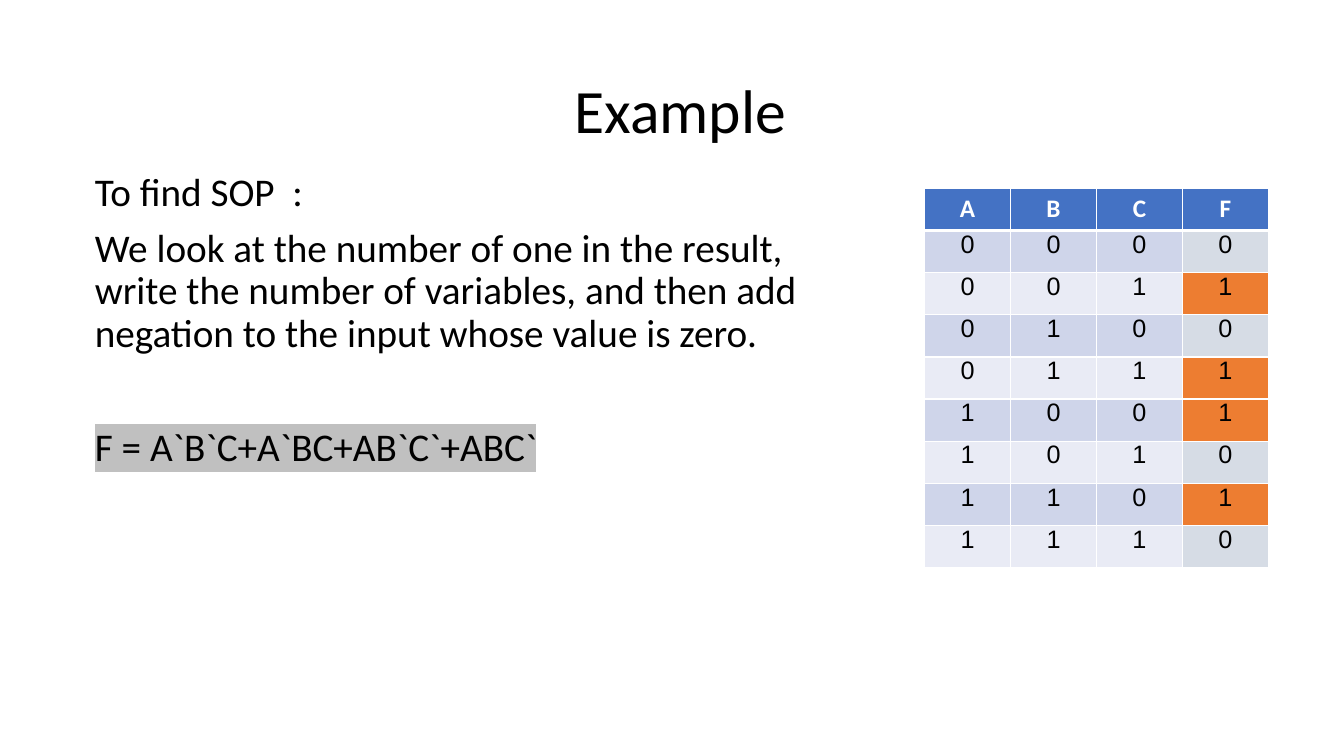
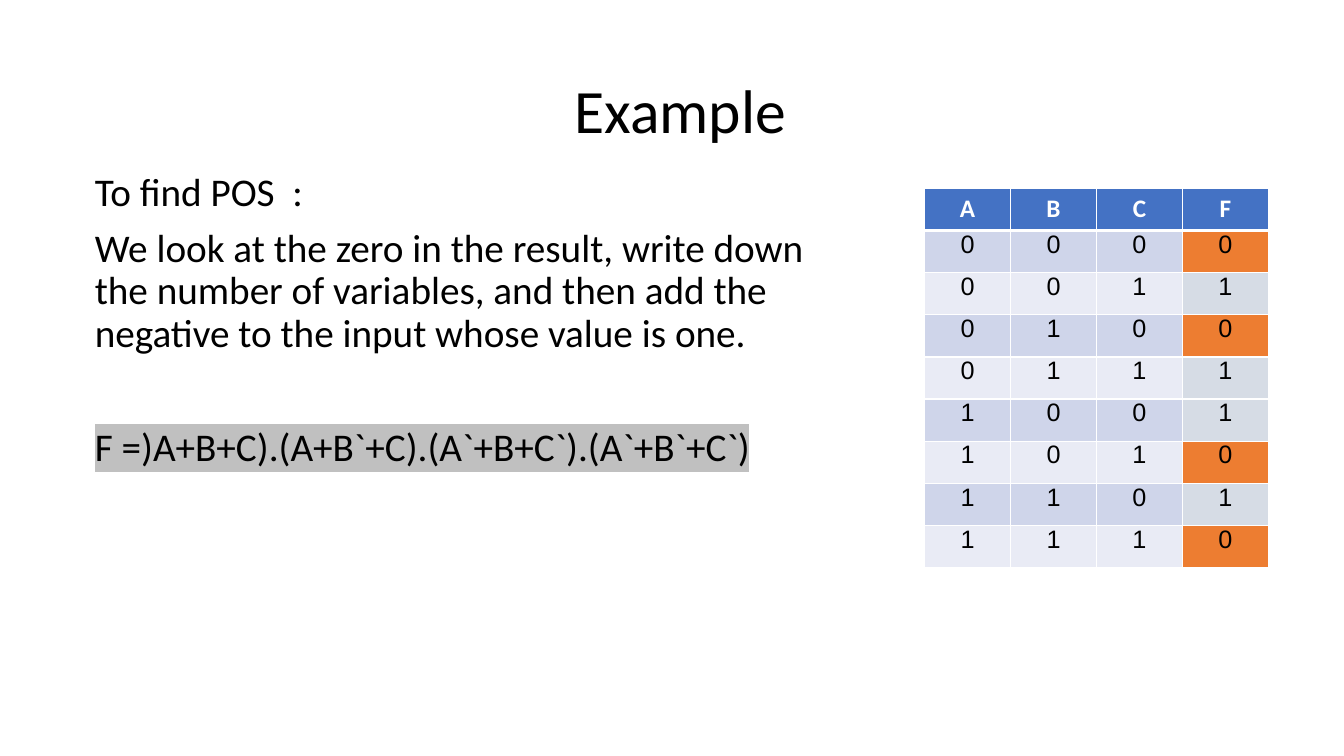
"""Build two slides that read SOP and POS forms from a truth table."""
from dataclasses import dataclass
from itertools import product

from lxml import etree
from pptx import Presentation
from pptx.dml.color import RGBColor
from pptx.enum.text import MSO_ANCHOR, MSO_AUTO_SIZE, PP_ALIGN
from pptx.oxml.ns import qn
from pptx.util import Inches, Pt

CENTER, LEFT = PP_ALIGN.CENTER, PP_ALIGN.LEFT
TOP, MIDDLE = MSO_ANCHOR.TOP, MSO_ANCHOR.MIDDLE
NO_AUTOFIT = MSO_AUTO_SIZE.NONE

FONT = "Calibri"
DIGIT_FONT = "Arial"
BLACK, WHITE = "000000", "FFFFFF"
HEADER = "4472C4"
BANDS = ("CFD5EA", "E9EBF5")
RESULT, MARKED = "D6DCE5", "ED7D31"
HIGHLIGHT = "C0C0C0"

HEADINGS = ("A", "B", "C", "F")
TRUTH_ROWS = [(a, b, c, a ^ c) for a, b, c in product((0, 1), repeat=3)]


@dataclass(frozen=True)
class Example:
    heading: str
    rule: str
    formula: str
    marked: int


EXAMPLES = (
    Example(
        "To find SOP  :",
        "We look at the number of one in the result, write the number of "
        "variables, and then add negation to the input whose value is zero.",
        "F = A`B`C+A`BC+AB`C`+ABC`",
        1,
    ),
    Example(
        "To find POS  :",
        "We look at the zero in the result, write down the number of "
        "variables, and then add the negative to the input whose value is one.",
        "F =)A+B+C).(A+B`+C).(A`+B+C`).(A`+B`+C`)",
        0,
    ),
)


def rgb(color: str) -> RGBColor:
    return RGBColor.from_string(color)


def style_run(r, size: float, color: str = BLACK, bold: bool = False) -> None:
    r.font.name = FONT
    r.font.size = Pt(size)
    r.font.bold = bold
    r.font.color.rgb = rgb(color)


def place(sp, left: float, top: float, width: float, height: float) -> None:
    sp.left, sp.top = Inches(left), Inches(top)
    sp.width, sp.height = Inches(width), Inches(height)
    sp.text_frame.auto_size = NO_AUTOFIT
    sp.text_frame.word_wrap = True


def set_rtl(p) -> None:
    p.alignment = CENTER
    p._p.get_or_add_pPr().set("rtl", "1")


def highlight(r, color: str) -> None:
    mark = etree.Element(qn("a:highlight"))
    etree.SubElement(mark, qn("a:srgbClr"), val=color)
    r._r.rPr.find(qn("a:solidFill")).addnext(mark)


def add_title(s) -> None:
    sp = s.shapes.title
    place(sp, 0.92, 0.4, 11.5, 1.45)
    tf = sp.text_frame
    tf.text = "Example "
    tf.vertical_anchor = MIDDLE
    p = tf.paragraphs[0]
    p.line_spacing = 0.9
    set_rtl(p)
    style_run(p.runs[0], 44)


def add_body(s, example: Example) -> None:
    sp = s.placeholders[1]
    place(sp, 0.84, 1.66, 7.62, 5)
    tf = sp.text_frame
    tf.vertical_anchor = TOP
    tf.text = "\n".join((example.heading, example.rule, example.formula))
    for p, space in zip(tf.paragraphs, (10, 10, 51)):
        p.alignment = LEFT
        p.line_spacing = 0.9
        p.space_before = Pt(space)
        pPr = p._p.get_or_add_pPr()
        pPr.set("marL", "0")
        pPr.set("indent", "0")
        etree.SubElement(pPr, qn("a:buNone"))
        style_run(p.runs[0], 28)
    highlight(tf.paragraphs[-1].runs[0], HIGHLIGHT)


def set_borders(cell, top: float, bottom: float) -> None:
    tcPr = cell._tc.get_or_add_tcPr()
    for side, width in (("L", 1), ("R", 1), ("T", top), ("B", bottom)):
        ln = etree.SubElement(tcPr, qn(f"a:ln{side}"), w=str(Pt(width)))
        fill = etree.SubElement(ln, qn("a:solidFill"))
        etree.SubElement(fill, qn("a:srgbClr"), val=WHITE)


def fill_cell(cell, text: str, fill: str, is_header: bool) -> None:
    cell.fill.solid()
    cell.fill.fore_color.rgb = rgb(fill)
    p = cell.text_frame.paragraphs[0]
    p.text = text
    set_rtl(p)
    r = p.runs[0]
    style_run(r, 18, WHITE if is_header else BLACK, is_header)
    if not is_header:
        cell.margin_top = cell.margin_bottom = 0
        cs = etree.Element(qn("a:cs"), typeface=DIGIT_FONT)
        r._r.rPr.find(qn("a:latin")).addnext(cs)


def cell_color(row: int, col: int, value: int, marked: int) -> str:
    if col < len(HEADINGS) - 1:
        return BANDS[row % 2]
    return MARKED if value == marked else RESULT


def add_truth_table(s, marked: int) -> None:
    table = s.shapes.add_table(
        len(TRUTH_ROWS) + 1, len(HEADINGS),
        Inches(9.17), Inches(1.87), Inches(3.41), Inches(3.76),
    ).table
    for col, heading in enumerate(HEADINGS):
        cell = table.cell(0, col)
        set_borders(cell, 1, 3)
        fill_cell(cell, heading, HEADER, True)
    for row, values in enumerate(TRUTH_ROWS):
        for col, value in enumerate(values):
            cell = table.cell(row + 1, col)
            set_borders(cell, 3 if row == 0 else 1, 1)
            fill_cell(cell, str(value), cell_color(row, col, value, marked), False)


def main() -> None:
    prs = Presentation()
    prs.slide_width, prs.slide_height = Inches(13.33), Inches(7.5)
    for example in EXAMPLES:
        s = prs.slides.add_slide(prs.slide_layouts[1])
        add_title(s)
        add_body(s, example)
        add_truth_table(s, example.marked)
    prs.save("out.pptx")


if __name__ == "__main__":
    main()
